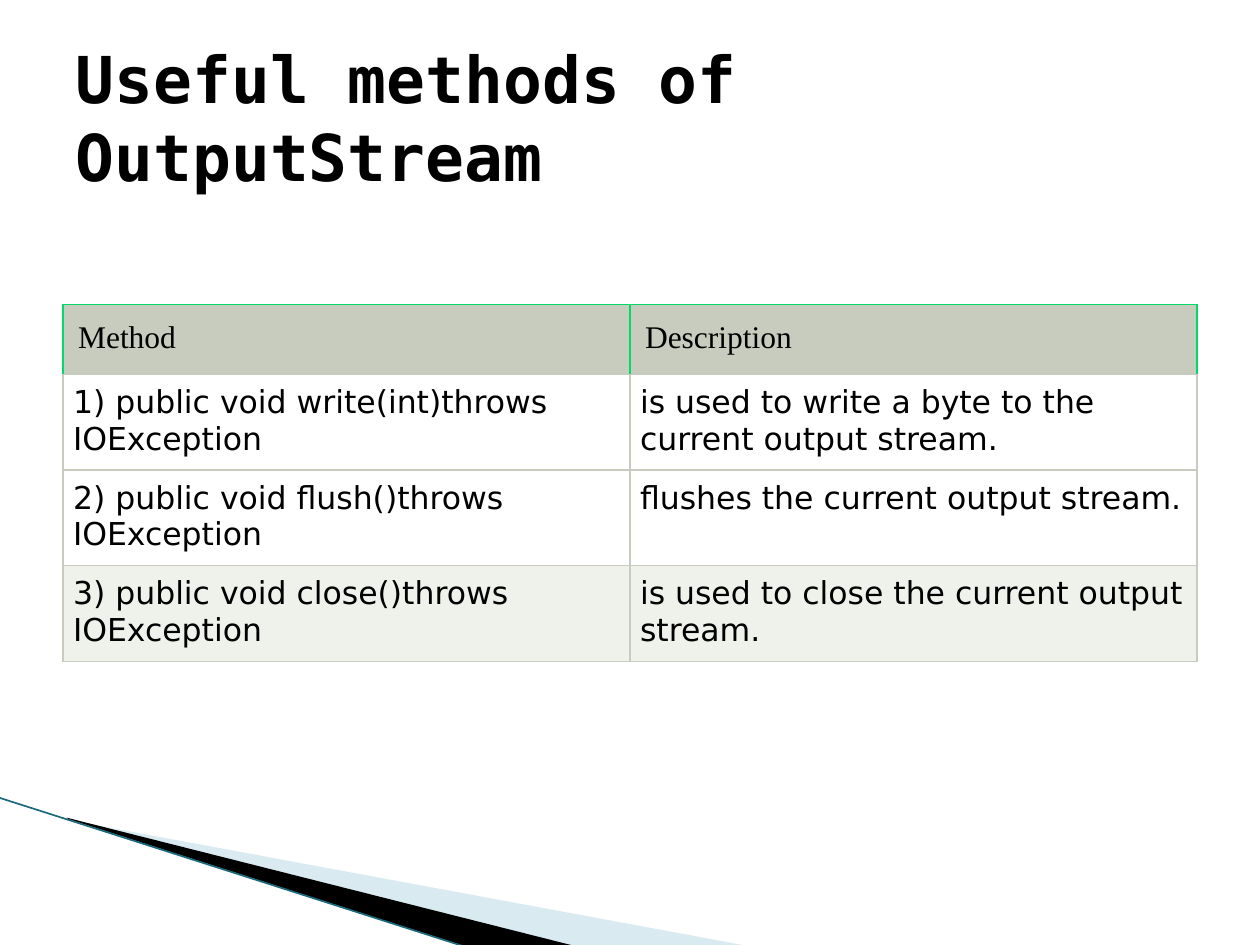
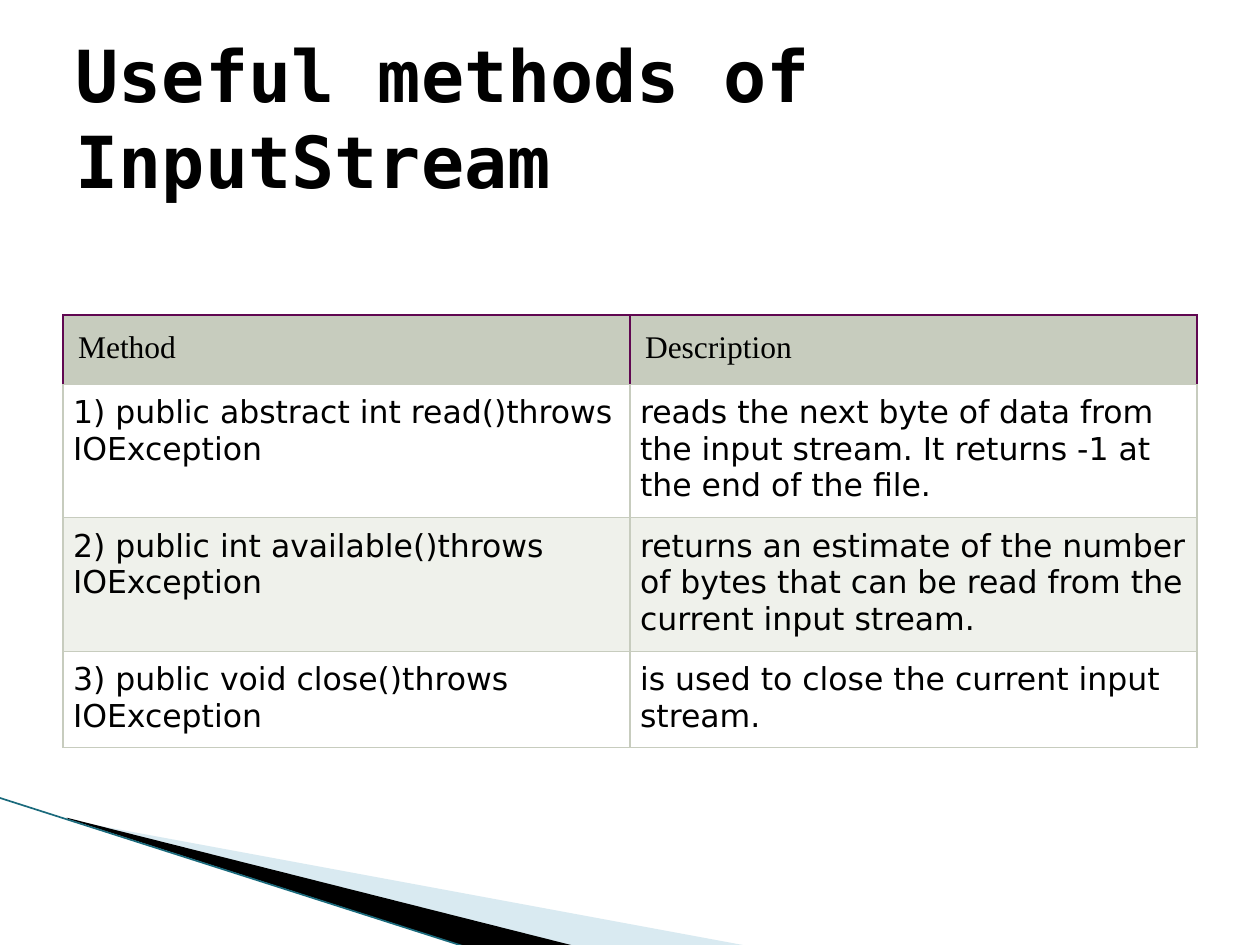
from lxml.etree import SubElement as Sub
from pptx import Presentation
from pptx.dml.color import RGBColor as Rgb
from pptx.enum.shapes import MSO_CONNECTOR as Conn
from pptx.enum.text import MSO_ANCHOR as Anchor, MSO_AUTO_SIZE as Auto, PP_ALIGN as Align
from pptx.oxml.ns import qn
from pptx.util import Inches, Pt

HUES = {
    "ink": "000000", "paper": "FFFFFF", "head": "C7CCBE", "band": "EFF1EB",
    "sky": "A0CBDC", "teal": "1A6A7C", "green": "00DA69", "plum": "600751",
}
FONTS = {"title": "DejaVu Sans Mono", "head": "Times New Roman", "body": "DejaVu Sans"}

HEADS = ("Method", "Description")
PAGES = [
    {
        "title": "Useful methods of OutputStream", "size": 36.9, "top": 2.42, "edge": "green",
        "rows": [
            ("1) public void write(int)throws IOException",
             "is used to write a byte to the current output stream.", 2, "paper"),
            ("2) public void flush()throws IOException",
             "flushes the current output stream.", 2, "paper"),
            ("3) public void close()throws IOException",
             "is used to close the current output stream.", 2, "band"),
        ],
    },
    {
        "title": "Useful methods of InputStream", "size": 41, "top": 2.5, "edge": "plum",
        "rows": [
            ("1) public abstract int read()throws IOException",
             "reads the next byte of data from the input stream. "
             "It returns -1 at the end of the file.", 3, "paper"),
            ("2) public int available()throws IOException",
             "returns an estimate of the number of bytes that can be read "
             "from the current input stream.", 3, "band"),
            ("3) public void close()throws IOException",
             "is used to close the current input stream.", 2, "paper"),
        ],
    },
]

WIDE, HIGH = 10, 7.5
LEFT = WIDE * 0.05
SPAN = WIDE - 2 * LEFT
HEAD_H, LINE_H, PAD, HEAD_PAD = 0.55, 0.3, 0.08, 0.12
WEDGES = [
    ("sky", 40, [(0.55, 6.51), (5.95, 7.51), (4.56, 7.51), (0.55, 6.5)]),
    ("ink", 100, [(0.53, 6.49), (4.57, 7.51), (3.72, 7.52), (0.54, 6.5)]),
]
RULE = (-0.01, 6.33, 3.71, 7.52)


def tint(name):
    return Rgb.from_string(HUES[name])


def write(frame, text, font, size, bold=False):
    run = frame.paragraphs[0].add_run()
    run.text = text
    run.font.name = FONTS[font]
    run.font.size = Pt(size)
    run.font.bold = bold
    run.font.color.rgb = tint("ink")


def draw_wedge(slide, hue, alpha, dots):
    first, *rest = [(Inches(x), Inches(y)) for x, y in dots]
    pen = slide.shapes.build_freeform(*first)
    pen.add_line_segments(rest, close=True)
    wedge = pen.convert_to_shape()
    wedge.shadow.inherit = False
    wedge.line.fill.background()
    wedge.fill.solid()
    wedge.fill.fore_color.rgb = tint(hue)
    if alpha < 100:
        paint = wedge.fill._xPr.find(".//" + qn("a:srgbClr"))
        Sub(paint, qn("a:alpha"), val=str(alpha * 1000))


def draw_base(slide):
    for wedge in WEDGES:
        draw_wedge(slide, *wedge)
    rule = slide.shapes.add_connector(Conn.STRAIGHT, *map(Inches, RULE))
    rule.line.color.rgb = tint("teal")
    rule.line.width = Pt(0.95)
    Sub(rule._element.spPr, qn("a:effectLst"))


def set_title(slide, text, size):
    title = slide.shapes.title
    title.left, title.top = Inches(LEFT), Inches(HIGH * 0.04)
    title.width, title.height = Inches(SPAN), Inches(HIGH / 6)
    frame = title.text_frame
    frame.auto_size = Auto.NONE
    frame.word_wrap = True
    frame.vertical_anchor = Anchor.MIDDLE
    frame.paragraphs[0].alignment = Align.LEFT
    write(frame, text, "title", size, True)


def set_cell(cell, text, font, pad, fill, edge):
    props = cell._tc.get_or_add_tcPr()
    for side in "LRTB":
        line = Sub(props, qn("a:ln" + side), w=str(Pt(0.75)))
        paint = Sub(line, qn("a:solidFill"))
        Sub(paint, qn("a:srgbClr"), val=HUES["head" if side == "B" else edge])
    cell.fill.solid()
    cell.fill.fore_color.rgb = tint(fill)
    cell.margin_left = cell.margin_right = Inches(pad)
    cell.margin_top = cell.margin_bottom = Inches(pad)
    write(cell.text_frame, text, font, 18)


def add_grid(slide, top, edge, rows):
    tall = [HEAD_H] + [2 * PAD + LINE_H * lines for _, _, lines, _ in rows]
    grid = slide.shapes.add_table(
        len(tall), len(HEADS), Inches(LEFT), Inches(top), Inches(SPAN), Inches(sum(tall))
    ).table
    grid.first_row = grid.horz_banding = False
    for row, size in zip(grid.rows, tall):
        row.height = Inches(size)
    for col, text in enumerate(HEADS):
        set_cell(grid.cell(0, col), text, "head", HEAD_PAD, "head", edge)
    for num, (call, note, _, fill) in enumerate(rows, 1):
        for col, text in enumerate((call, note)):
            set_cell(grid.cell(num, col), text, "body", PAD, fill, "head")


def main():
    deck = Presentation()
    deck.slide_width, deck.slide_height = Inches(WIDE), Inches(HIGH)
    for page in PAGES:
        slide = deck.slides.add_slide(deck.slide_layouts[5])
        draw_base(slide)
        add_grid(slide, page["top"], page["edge"], page["rows"])
        set_title(slide, page["title"], page["size"])
    deck.save("out.pptx")


if __name__ == "__main__":
    main()
